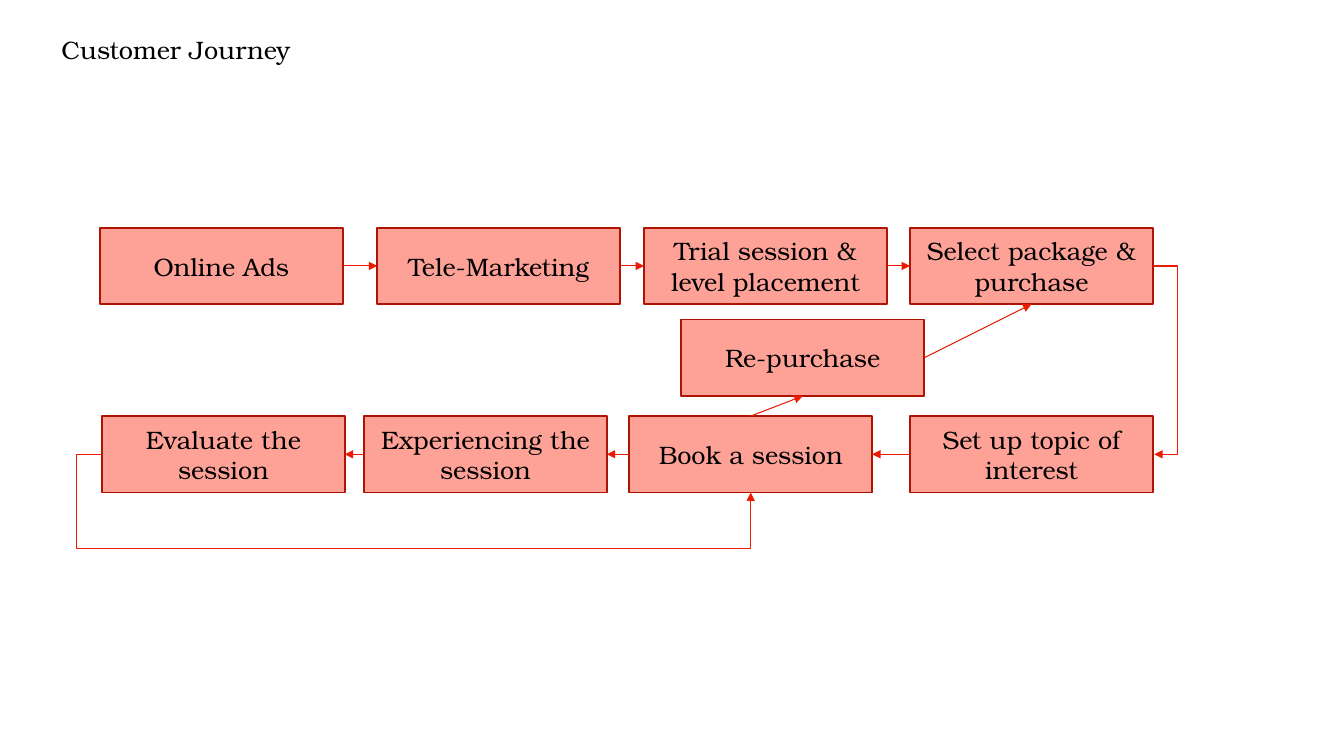
"""Build the customer journey flow slide."""
import pptx
import pptx.dml.color
import pptx.enum.shapes
import pptx.enum.text
import pptx.oxml.ns
import pptx.util
from lxml import etree

Pt = pptx.util.Pt
BOX_W, BOX_H = 173.5, 54.6
TOP, MIDDLE, BOTTOM = 162.7, 228.3, 297.2
UP, LEFT, DOWN, RIGHT = range(4)

BOXES = {
    "Online Ads": (71.3, TOP),
    "Tele-Marketing": (269.5, TOP),
    "Trial session & level placement": (460, TOP),
    "Select package & purchase": (650, TOP),
    "Re-purchase": (486.6, MIDDLE),
    "Evaluate the session": (72.8, BOTTOM),
    "Experiencing the session": (260, BOTTOM),
    "Book a session": (449.5, BOTTOM),
    "Set up topic of interest": (650, BOTTOM),
}

ARROWS = [
    ("Online Ads", RIGHT, "Tele-Marketing", LEFT),
    ("Tele-Marketing", RIGHT, "Trial session & level placement", LEFT),
    ("Trial session & level placement", RIGHT, "Select package & purchase", LEFT),
    ("Set up topic of interest", LEFT, "Book a session", RIGHT),
    ("Book a session", LEFT, "Experiencing the session", RIGHT),
    ("Experiencing the session", LEFT, "Evaluate the session", RIGHT),
    ("Book a session", UP, "Re-purchase", DOWN),
    ("Re-purchase", RIGHT, "Select package & purchase", DOWN),
]


def rgb(value):
    """Return the colour for a hex string."""
    return pptx.dml.color.RGBColor.from_string(value)


def set_attrs(obj, values):
    """Set each named attribute of an object."""
    for name, value in values.items():
        setattr(obj, name, value)


def write(tf, text, align, frame):
    """Put one formatted paragraph in a text frame."""
    set_attrs(tf, {"word_wrap": True, **frame})
    p = tf.paragraphs[0]
    p.alignment = align
    r = p.add_run()
    r.text = text
    set_attrs(r.font, {"name": "TeX Gyre Bonum", "size": Pt(18)})
    r.font.color.rgb = rgb("000000")


def add_title(slide, text):
    """Add the slide heading."""
    s = slide.shapes.add_textbox(Pt(36.7), Pt(21), Pt(885.6), Pt(29))
    write(s.text_frame, text, pptx.enum.text.PP_ALIGN.LEFT,
          {"auto_size": pptx.enum.text.MSO_AUTO_SIZE.SHAPE_TO_FIT_TEXT})


def add_box(slide, text, x, y):
    """Add one step of the journey."""
    s = slide.shapes.add_shape(pptx.enum.shapes.MSO_SHAPE.RECTANGLE,
                               Pt(x), Pt(y), Pt(BOX_W), Pt(BOX_H))
    s.shadow.inherit = False
    s.fill.solid()
    s.fill.fore_color.rgb = rgb("FEA298")
    s.line.color.rgb = rgb("AF1301")
    s.line.width = Pt(1.25)
    write(s.text_frame, text, pptx.enum.text.PP_ALIGN.CENTER,
          {"vertical_anchor": pptx.enum.text.MSO_ANCHOR.MIDDLE})
    return s


def add_arrow(slide, start, start_side, end, end_side, kind="STRAIGHT"):
    """Join two boxes with an arrow."""
    s = slide.shapes.add_connector(pptx.enum.shapes.MSO_CONNECTOR[kind], 0, 0, 0, 0)
    s.begin_connect(start, start_side)
    s.end_connect(end, end_side)
    s.line.color.rgb = rgb("ED1A02")
    s.line.width = Pt(0.75)
    qn = pptx.oxml.ns.qn
    sp = s.element.spPr
    etree.SubElement(sp.find(qn("a:ln")), qn("a:tailEnd"), type="triangle")
    etree.SubElement(sp, qn("a:effectLst"))
    return s


def bend(s, preset, adjustments):
    """Set the elbow preset and its bend positions."""
    qn = pptx.oxml.ns.qn
    geom = s.element.spPr.find(qn("a:prstGeom"))
    geom.set("prst", preset)
    guides = geom.find(qn("a:avLst"))
    if guides is None:
        guides = etree.SubElement(geom, qn("a:avLst"))
    for i, value in enumerate(adjustments, 1):
        etree.SubElement(guides, qn("a:gd"), name=f"adj{i}", fmla=f"val {value}")


def main():
    """Build and save the slide."""
    prs = pptx.Presentation()
    set_attrs(prs, {"slide_width": Pt(960), "slide_height": Pt(540)})
    slide = prs.slides.add_slide(prs.slide_layouts[6])
    add_title(slide, "Customer Journey")
    boxes = {text: add_box(slide, text, x, y) for text, (x, y) in BOXES.items()}
    for start, start_side, end, end_side in ARROWS:
        add_arrow(slide, boxes[start], start_side, boxes[end], end_side)
    s = add_arrow(slide, boxes["Evaluate the session"], LEFT,
                  boxes["Book a session"], DOWN, "ELBOW")
    bend(s, "bentConnector4", [-3900, 246800])
    s = add_arrow(slide, boxes["Select package & purchase"], RIGHT,
                  boxes["Set up topic of interest"], RIGHT, "ELBOW")
    s.end_x += Pt(1)
    bend(s, "bentConnector3", [1800000])
    prs.save("out.pptx")


if __name__ == "__main__":
    main()
